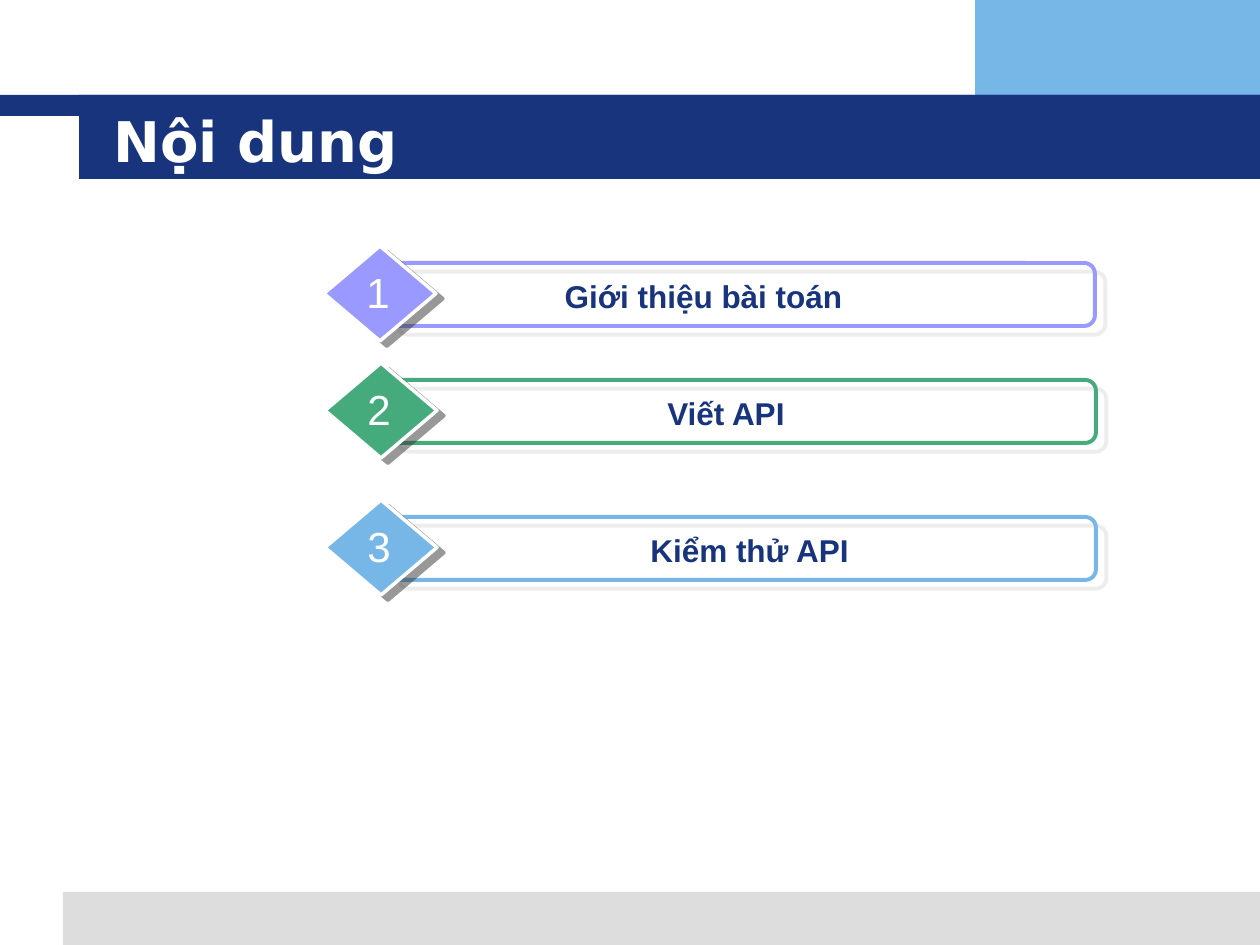
from lxml.etree import SubElement
from pptx import Presentation
from pptx.dml.color import RGBColor
from pptx.enum.shapes import MSO_SHAPE as SHAPE
from pptx.enum.text import MSO_ANCHOR as ANCHOR, MSO_AUTO_SIZE as AUTO, PP_ALIGN as ALIGN
from pptx.oxml.ns import qn
from pptx.util import Pt

NAVY, SKY, WHITE = "17347D", "77B7E7", "FFFFFF"
ROWS = [
    (324, 246, 559, "9999FF", "Giới thiệu bài toán"),
    (325, 363, 602, "45AB7D", "Viết API"),
    (325, 500, 649, SKY, "Kiểm thử API"),
]


def px(n):
    """Turn pixels at 126 to the inch into EMU."""
    return round(n * 914400 / 126)


def rgb(value):
    """Turn a hex string into a colour."""
    return RGBColor.from_string(value)


def put_text(sp, text, size, color, font="Arial", bold=False, align=ALIGN.CENTER,
             anchor=ANCHOR.TOP, wrap=True, fit=AUTO.NONE):
    """Fill a shape with one formatted paragraph."""
    tf = sp.text_frame
    tf.auto_size, tf.word_wrap, tf.vertical_anchor = fit, wrap, anchor
    p = tf.paragraphs[0]
    p.alignment = align
    r = p.add_run()
    r.text = text
    r.font.name, r.font.size, r.font.bold = font, Pt(size), bold
    r.font.color.rgb = rgb(color)


def add_shape(shapes, kind, x, y, w, h, fill=None, line=None, weight=1):
    """Add a preset shape with plain fill and line."""
    sp = shapes.add_shape(kind, px(x), px(y), px(w), px(h))
    sp.shadow.inherit = False
    if fill:
        sp.fill.solid()
        sp.fill.fore_color.rgb = rgb(fill)
    else:
        sp.fill.background()
    if line:
        sp.line.color.rgb = rgb(line)
        sp.line.width = Pt(weight)
    else:
        sp.line.fill.background()
    return sp


def add_shadow(sp, color, distance, angle):
    """Give a shape a hard, half transparent shadow."""
    effects = sp.element.spPr.find(qn("a:effectLst"))
    shadow = SubElement(effects, qn("a:outerShdw"), blurRad="0", dist=str(Pt(distance)),
                        dir=str(angle * 60000), algn="ctr", rotWithShape="0")
    clr = SubElement(shadow, qn("a:srgbClr"), val=color)
    SubElement(clr, qn("a:alpha"), val="50000")


def add_frame(s, w, h):
    """Draw the corner block, the footer and the title band."""
    add_shape(s.shapes, SHAPE.RECTANGLE, 975, 0, w - 975, 116, SKY)
    add_shape(s.shapes, SHAPE.RECTANGLE, 63, 892, w - 63, h - 892, "DDDDDD")
    add_shape(s.shapes, SHAPE.RECTANGLE, 0, 95, w, 21, NAVY)
    add_shape(s.shapes, SHAPE.RECTANGLE, 79, 95, w - 79, 84, NAVY)


def add_title(s, x, y, w, h, text):
    """Place the title on top of its band."""
    title = s.shapes.title
    title.left, title.top, title.width, title.height = px(x), px(y), px(w), px(h)
    put_text(title, text, 32, WHITE, font="DejaVu Sans", bold=True,
             align=ALIGN.LEFT, anchor=ANCHOR.MIDDLE)
    s.shapes.element.append(title.element)


def add_row(s, x, y, text_w, color, number, text):
    """Add one agenda row: outlined bar, numbered diamond and label."""
    shapes = s.shapes.add_group_shape().shapes
    bar = add_shape(shapes, SHAPE.ROUNDED_RECTANGLE, x + 63, y + 17, 708, 63,
                    line=color, weight=2.25)
    bar.adjustments[0] = 0.17
    add_shadow(bar, "DDDDDD", 7.8, 40)
    diamond = add_shape(shapes, SHAPE.DIAMOND, x, y, 112, 95, color, WHITE, 2)
    add_shadow(diamond, "333333", 5, 37)
    label = shapes.add_textbox(px(x + 100), px(y + 25), px(text_w), px(50))
    put_text(label, text, 18, NAVY, bold=True, fit=AUTO.SHAPE_TO_FIT_TEXT)
    digit = shapes.add_textbox(px(x + 30), px(y + 14), px(48), px(63))
    put_text(digit, str(number), 24, WHITE, wrap=False, fit=AUTO.SHAPE_TO_FIT_TEXT)


def main():
    """Build and save the agenda slide."""
    prs = Presentation()
    prs.slide_width, prs.slide_height = px(1260), px(945)
    s = prs.slides.add_slide(prs.slide_layouts[5])
    add_frame(s, 1260, 945)
    add_title(s, 101, 101, 1075, 78, "Nội dung")
    for number, (x, y, text_w, color, text) in enumerate(ROWS, 1):
        add_row(s, x, y, text_w, color, number, text)
    prs.save("out.pptx")


if __name__ == "__main__":
    main()
